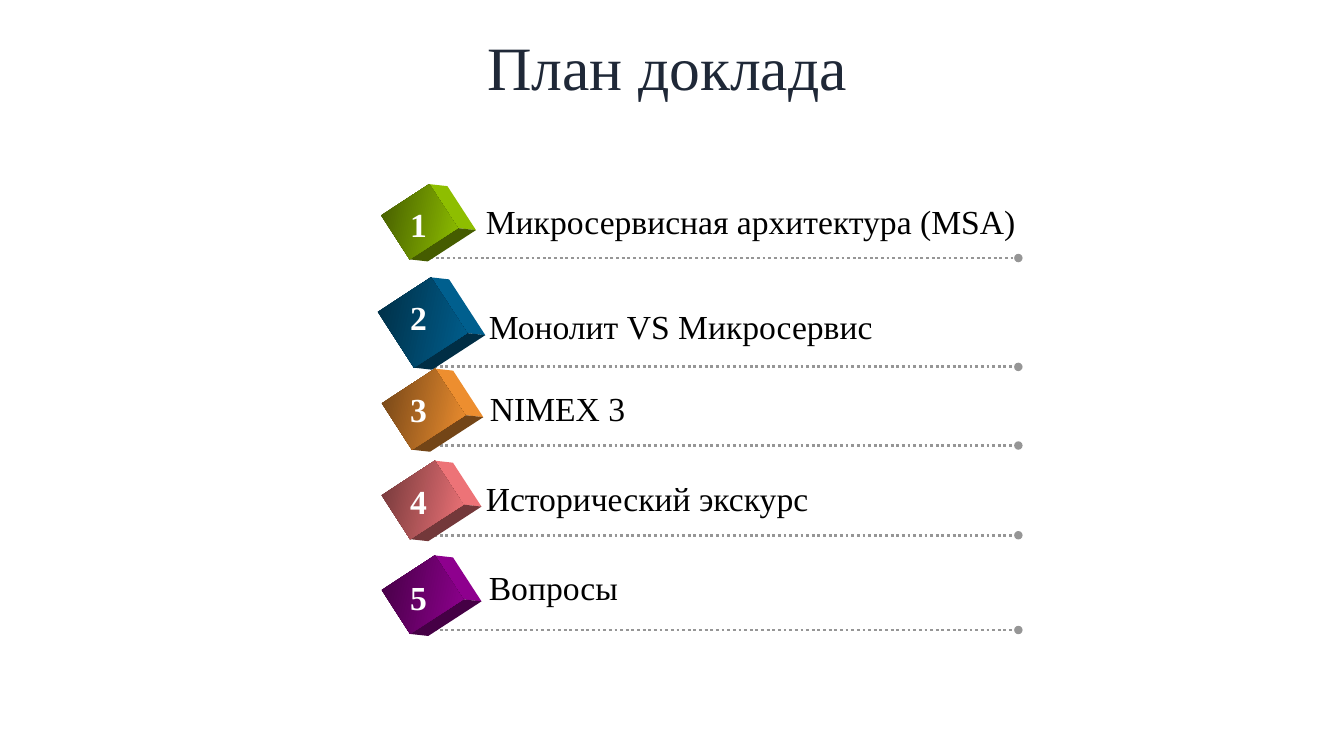
from collections import namedtuple
from math import cos, radians, sin

from lxml.etree import SubElement
from pptx import Presentation
from pptx.dml.color import RGBColor
from pptx.enum.dml import MSO_LINE
from pptx.enum.shapes import MSO_CONNECTOR, MSO_SHAPE
from pptx.enum.text import MSO_ANCHOR, MSO_AUTO_SIZE, PP_ALIGN
from pptx.oxml.ns import qn
from pptx.util import Inches, Pt

TITLE = "План доклада"
Topic = namedtuple("Topic", "label color center size label_at label_width number_top rule_from rule_y")
TOPICS = [
    Topic("Микросервисная архитектура (MSA)", "green", (4.16, 2.2), (0.52, 0.57),
          (4.72, 1.94), 5.51, 1.97, 4.21, 2.56),
    Topic("Монолит VS Микросервис", "blue", (4.19, 3.2), (0.66, 0.63),
          (4.75, 2.99), 4.04, 2.9, 4.25, 3.64),
    Topic("NIMEX 3", "orange", (4.2, 4.06), (0.55, 0.63),
          (4.76, 3.8), 1.7, 3.81, 4.25, 4.42),
    Topic("Исторический экскурс", "pink", (4.19, 4.96), (0.52, 0.63),
          (4.72, 4.69), 3.43, 4.72, 4.25, 5.31),
    Topic("Вопросы", "purple", (4.19, 5.9), (0.52, 0.63),
          (4.75, 5.57), 1.49, 5.67, 4.25, 6.25),
]
COLORS = {
    "title": "1F2837", "text": "000000", "number": "FFFFFF", "rule": "969696",
    "green": "99CC00", "blue": "006699", "orange": "FF9933", "pink": "FF7C80", "purple": "990099",
}
FONT = "Times New Roman"
TILT = 57
DEPTH = (0.18, 0.02)
DARK, BRIGHT = 0.45, 0.93
RULE_END = 10.1
NUMBER_LEFT, NUMBER_WIDTH, ROW_HEIGHT = 3.97, 0.37, 0.51


def shade(name, share=1):
    return RGBColor(*(round(channel * share) for channel in RGBColor.from_string(COLORS[name])))


def add_text(slide, text, box, size, color, bold=False):
    frame = slide.shapes.add_textbox(*map(Inches, box)).text_frame
    frame.word_wrap = False
    frame.auto_size = MSO_AUTO_SIZE.SHAPE_TO_FIT_TEXT
    paragraph = frame.paragraphs[0]
    paragraph.text = text
    font = paragraph.font
    font.name, font.size, font.bold = FONT, Pt(size), bold
    font.color.rgb = shade(color)
    return frame


def add_rule(slide, left, y):
    rule = slide.shapes.add_connector(
        MSO_CONNECTOR.STRAIGHT, Inches(left), Inches(y), Inches(RULE_END), Inches(y))
    rule.line.color.rgb = shade("rule")
    rule.line.width = Pt(2)
    rule.line.dash_style = MSO_LINE.ROUND_DOT
    SubElement(rule.line._get_or_add_ln(), qn("a:tailEnd"), type="oval")
    SubElement(rule._element.spPr, qn("a:effectLst"))


def add_side(slide, start, end, color, share):
    corners = [start, end] + [(x + DEPTH[0], y + DEPTH[1]) for x, y in (end, start)]
    points = [(Inches(x), Inches(y)) for x, y in corners]
    outline = slide.shapes.build_freeform(*points[0])
    outline.add_line_segments(points[1:], close=True)
    side = outline.convert_to_shape()
    side.shadow.inherit = False
    side.fill.solid()
    side.fill.fore_color.rgb = shade(color, share)
    side.line.fill.background()


def add_cube(slide, center, size, color):
    (cx, cy), (width, height) = center, size
    across, down = cos(radians(TILT)), sin(radians(TILT))

    def corner(right, bottom):
        dx, dy = right * width / 2, bottom * height / 2
        return cx + dx * across - dy * down, cy + dx * down + dy * across

    add_side(slide, corner(-1, -1), corner(1, -1), color, BRIGHT)
    add_side(slide, corner(1, -1), corner(1, 1), color, DARK)
    face = slide.shapes.add_shape(
        MSO_SHAPE.RECTANGLE, Inches(cx - width / 2), Inches(cy - height / 2),
        Inches(width), Inches(height))
    face.rotation = TILT
    face.shadow.inherit = False
    face.line.fill.background()
    face.fill.gradient()
    face.fill.gradient_angle = 45
    for stop, share in zip(face.fill.gradient_stops, (DARK, BRIGHT)):
        stop.color.rgb = shade(color, share)


def main():
    deck = Presentation()
    deck.slide_width, deck.slide_height = Inches(13.33), Inches(7.5)
    slide = deck.slides.add_slide(deck.slide_layouts[6])

    heading = add_text(slide, TITLE, (0, 0.32, 13.24, 0.76), 44, "title")
    heading.word_wrap = True
    heading.auto_size = MSO_AUTO_SIZE.NONE
    heading.vertical_anchor = MSO_ANCHOR.MIDDLE
    heading.paragraphs[0].alignment = PP_ALIGN.CENTER
    heading.paragraphs[0].line_spacing = 0.9

    for number, topic in enumerate(TOPICS, 1):
        add_rule(slide, topic.rule_from, topic.rule_y)
        add_cube(slide, topic.center, topic.size, topic.color)
        add_text(slide, topic.label, (*topic.label_at, topic.label_width, ROW_HEIGHT), 24, "text")
        add_text(slide, str(number), (NUMBER_LEFT, topic.number_top, NUMBER_WIDTH, ROW_HEIGHT),
                 24, "number", bold=True)

    deck.save("out.pptx")


if __name__ == "__main__":
    main()
